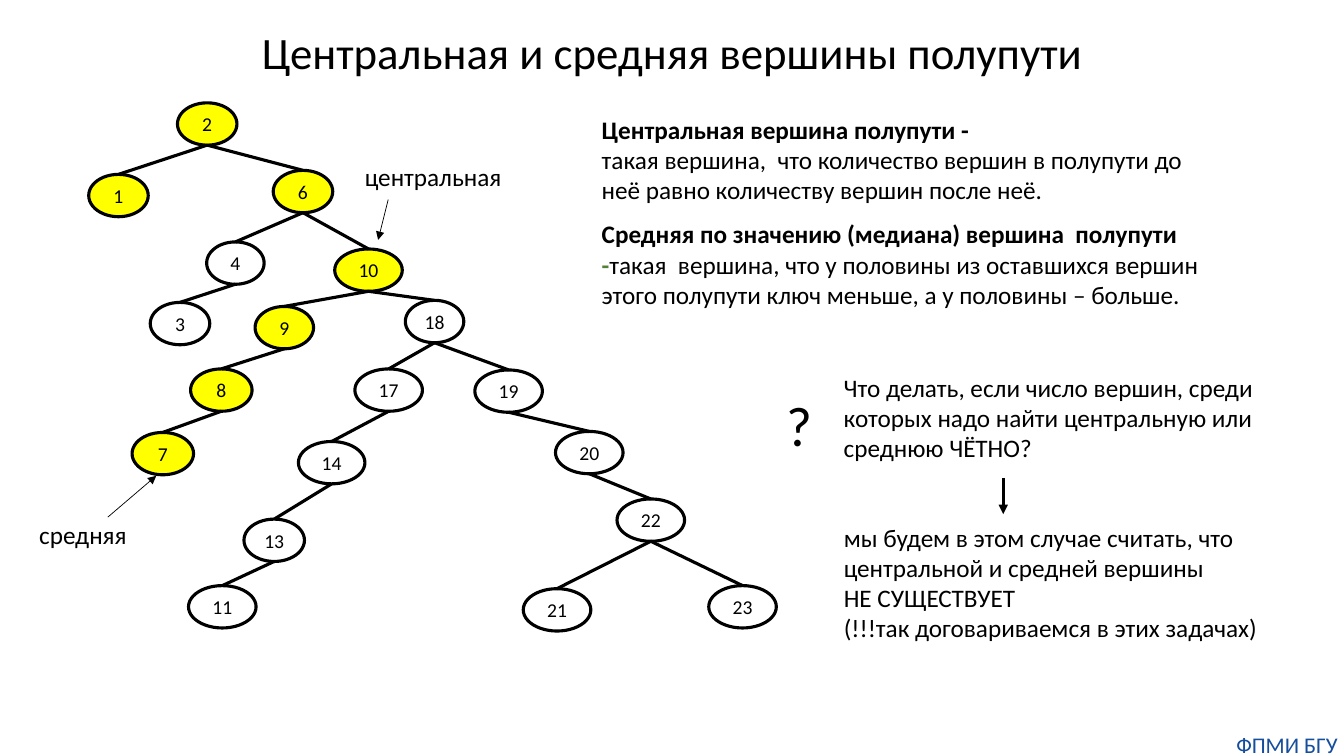
from lxml import etree
from pptx import Presentation
from pptx.dml.color import RGBColor
from pptx.enum.shapes import MSO_CONNECTOR as Connector, MSO_SHAPE as Shape
from pptx.enum.text import MSO_ANCHOR as Anchor, PP_ALIGN as Align
from pptx.oxml.ns import qn
from pptx.util import Inches, Pt

COLORS = {"black": "000000", "path": "FFFF00", "dash": "548235", "footer": "144E9D"}

deck = Presentation()
deck.slide_width, deck.slide_height = Inches(13.33), Inches(7.5)
page = deck.slides.add_slide(deck.slide_layouts[5])


def write(para, text, size, color="black", bold=False):
    for index, line in enumerate(text.split("\n")):
        if index:
            para.add_line_break()
        span = para.add_run()
        span.text = line
        span.font.name = "Calibri"
        span.font.size = Pt(size)
        span.font.bold = bold
        span.font.color.rgb = RGBColor.from_string(COLORS[color])


def connect(start_x, start_y, end_x, end_y, width, arrow=False):
    line = page.shapes.add_connector(
        Connector.STRAIGHT, Inches(start_x), Inches(start_y), Inches(end_x), Inches(end_y))
    line.line.color.rgb = RGBColor.from_string(COLORS["black"])
    line.line.width = Pt(width)
    if arrow:
        etree.SubElement(line.line._get_or_add_ln(), qn("a:tailEnd"), type="triangle")
    etree.SubElement(line._element.spPr, qn("a:effectLst"))
    return line


title = page.shapes.title
title.left, title.top, title.width, title.height = map(Inches, (2.46, 0.19, 8.42, 0.64))
title.text_frame.word_wrap = False
title.text_frame.vertical_anchor = Anchor.MIDDLE
title.text_frame.paragraphs[0].alignment = Align.CENTER
write(title.text_frame.paragraphs[0], "Центральная и средняя вершины полупути", 32)

texts = [
    (5.87, 1.08, 6.13, 1.01, True, 18, [
        [("Центральная вершина полупути -", "black", True)],
        [("такая вершина,  что количество вершин в полупути до "
          "неё равно количеству вершин после неё.", "black", False)]]),
    (5.87, 2.12, 6.34, 1.01, True, 18, [
        [("Средняя по значению (медиана) вершина  полупути ", "black", True),
         ("-", "dash", True),
         ("такая  вершина, что у половины из оставшихся вершин этого полупути "
          "ключ меньше, а у половины – больше.", "black", False)]]),
    (8.27, 3.64, 4.53, 1.31, True, 18, [
        [("Что делать, если число вершин, среди которых надо найти "
          "центральную или среднюю ЧЁТНО?", "black", False)]]),
    (7.7, 3.83, 0.46, 0.77, False, 40, [[("?", "black", False)]]),
    (8.27, 5.13, 4.78, 1.31, True, 18, [
        [("мы будем в этом случае считать, что центральной и средней вершины\n"
          "НЕ СУЩЕСТВУЕТ\n(!!!так договариваемся в этих задачах)", "black", False)]]),
    (3.52, 1.55, 1.71, 0.4, True, 18, [[("центральная", "black", False)]]),
    (0.29, 5.1, 1.08, 0.4, False, 18, [[("средняя", "black", False)]]),
]
for left, top, width, height, wrap, size, paragraphs in texts:
    box = page.shapes.add_textbox(Inches(left), Inches(top), Inches(width), Inches(height))
    frame = box.text_frame
    frame.word_wrap = wrap
    for index, runs in enumerate(paragraphs):
        para = frame.add_paragraph() if index else frame.paragraphs[0]
        for text, color, bold in runs:
            write(para, text, size, color, bold)

footer = page.shapes.add_textbox(Inches(12.2), Inches(7.25), Inches(1.13), Inches(0.27))
frame = footer.text_frame
frame.word_wrap = True
frame.margin_left = frame.margin_right = frame.margin_top = frame.margin_bottom = 0
frame.paragraphs[0].alignment = Align.CENTER
write(frame.paragraphs[0], "ФПМИ БГУ", 16, "footer")

nodes = {
    2: (1.76, 1.02, 0.59, None), 1: (0.88, 1.73, 0.59, 2), 6: (2.71, 1.69, 0.59, 2),
    4: (2.05, 2.4, 0.57, 6), 10: (3.32, 2.47, 0.67, 6), 3: (1.49, 3, 0.59, 4),
    9: (2.53, 3.04, 0.58, 10), 18: (4.02, 2.98, 0.58, 10), 8: (1.89, 3.66, 0.61, 9),
    7: (1.31, 4.29, 0.61, 8), 17: (3.52, 3.66, 0.67, 18), 19: (4.71, 3.67, 0.67, 18),
    14: (2.96, 4.38, 0.66, 17), 13: (2.42, 5.15, 0.6, 14), 11: (1.87, 5.81, 0.67, 13),
    20: (5.51, 4.28, 0.67, 19), 22: (6.12, 4.95, 0.67, 20), 21: (5.19, 5.84, 0.67, 22),
    23: (7.03, 5.81, 0.67, 22),
}
semipath = {1, 2, 6, 10, 9, 8, 7}
node_height = 0.42
for key, (left, top, width, parent) in nodes.items():
    node = page.shapes.add_shape(
        Shape.OVAL, Inches(left), Inches(top), Inches(width), Inches(node_height))
    node.shadow.inherit = False
    if key in semipath:
        node.fill.solid()
        node.fill.fore_color.rgb = RGBColor.from_string(COLORS["path"])
    else:
        node.fill.background()
    node.line.color.rgb = RGBColor.from_string(COLORS["black"])
    node.line.width = Pt(2.25)
    node.text_frame.vertical_anchor = Anchor.MIDDLE
    node.text_frame.paragraphs[0].alignment = Align.CENTER
    write(node.text_frame.paragraphs[0], str(key), 14)
    if parent:
        parent_left, parent_top, parent_width, _ = nodes[parent]
        edge = connect(parent_left + parent_width / 2, parent_top + node_height,
                       left + width / 2, top, 2.25)
        edge.end_connect(node, 0)

connect(9.95, 4.74, 9.95, 5.1, 2.25, arrow=True)
connect(3.85, 1.98, 3.75, 2.38, 0.5, arrow=True)
connect(1.07, 5.13, 1.55, 4.72, 0.5, arrow=True)

deck.save("out.pptx")
